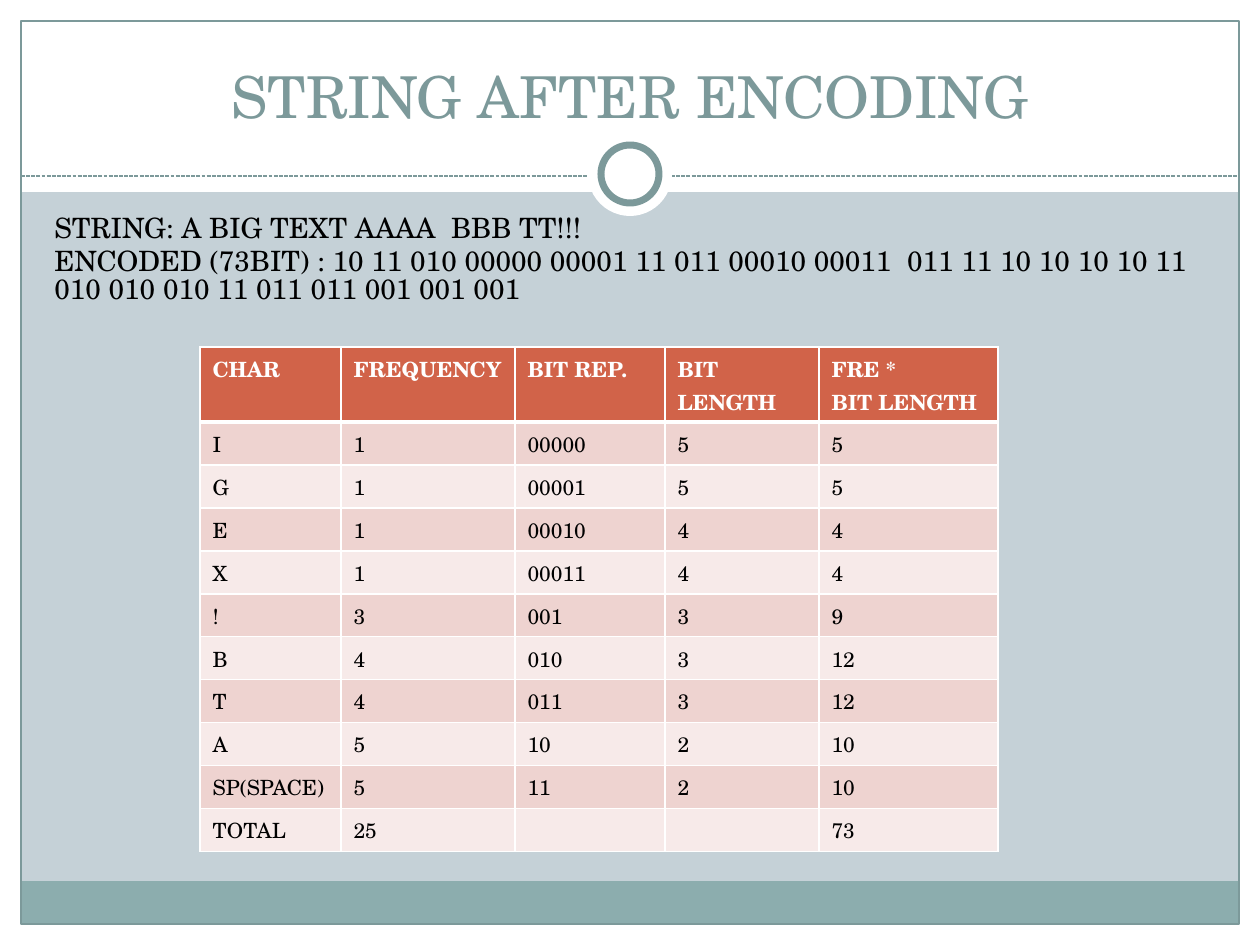
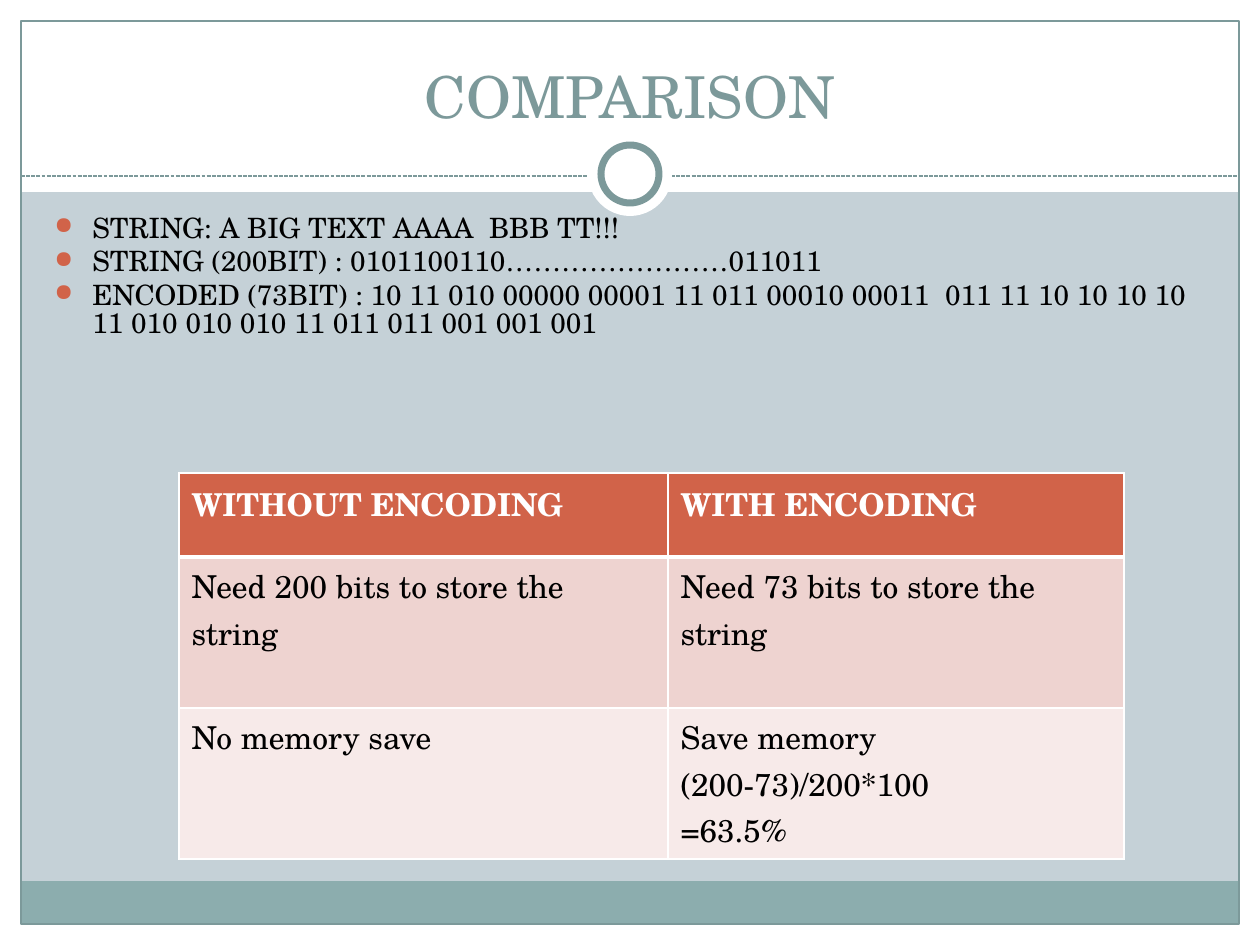
from dataclasses import dataclass

from lxml.etree import SubElement
from pptx import Presentation
from pptx.dml.color import RGBColor
from pptx.enum.dml import MSO_LINE_DASH_STYLE as Dash
from pptx.enum.shapes import MSO_CONNECTOR_TYPE as Connector, MSO_SHAPE as Shape
from pptx.enum.text import MSO_ANCHOR as Anchor, PP_ALIGN as Align
from pptx.oxml.ns import qn
from pptx.util import Emu, Pt

# Content
STRING = "STRING: A BIG TEXT AAAA  BBB TT!!!"
ENCODED = ("ENCODED (73BIT) : 10 11 010 00000 00001 11 011 00010 00011  "
           "011 11 10 10 10 10 11 010 010 010 11 011 011 001 001 001")

PAGES = [
    {
        "title": "STRING AFTER ENCODING",
        "lines": [STRING, ENCODED],
        "bullets": False,
        "table": {
            "at": (200, 347), "size": 12,
            "widths": [141, 174, 150, 154, 179],
            "heights": [75] + [43] * 10,
            "rows": [
                ("CHAR", "FREQUENCY", "BIT REP.", "BIT LENGTH", "FRE *\nBIT LENGTH"),
                ("I", "1", "00000", "5", "5"),
                ("G", "1", "00001", "5", "5"),
                ("E", "1", "00010", "4", "4"),
                ("X", "1", "00011", "4", "4"),
                ("!", "3", "001", "3", "9"),
                ("B", "4", "010", "3", "12"),
                ("T", "4", "011", "3", "12"),
                ("A", "5", "10", "2", "10"),
                ("SP(SPACE)", "5", "11", "2", "10"),
                ("TOTAL", "25", "", "", "73"),
            ],
        },
    },
    {
        "title": "COMPARISON",
        "lines": [STRING, "STRING (200BIT) : 0101100110" + "…" * 8 + "011011", ENCODED],
        "bullets": True,
        "table": {
            "at": (179, 473), "size": 18,
            "widths": [489, 456],
            "heights": [84, 151, 151],
            "rows": [
                ("WITHOUT ENCODING", "WITH ENCODING"),
                ("Need 200 bits to store the string", "Need 73 bits to store the string"),
                ("No memory save", "Save memory\n(200-73)/200*100\n=63.5%"),
            ],
        },
    },
]


@dataclass(frozen=True)
class Theme:
    font: str = "TeX Gyre Schola"
    title_size: int = 33
    body_size: int = 16
    body_spacing: float = 0.83
    background: str = "C5D1D7"
    white: str = "FFFFFF"
    black: str = "000000"
    accent: str = "7C999A"
    footer: str = "8CADAE"
    header: str = "D16349"
    bands: tuple = ("EED3D0", "F7EAE9")


THEME = Theme()
WIDTH, HEIGHT, MARGIN = 1260, 945, 21
INNER = WIDTH - 2 * MARGIN
RULE_Y, RING_Y = 176, 174


def px(pixels):
    return Emu(round(pixels * 914400 / 126))


def color(code):
    return RGBColor.from_string(code)


def style(paragraph, size, code, bold=False):
    for span in paragraph.runs:
        font = span.font
        font.name, font.size, font.bold = THEME.font, Pt(size), bold
        font.color.rgb = color(code)


# Shared frame
def add_shape(page, kind, x, y, w, h, fill=None, line=None, weight=0.75):
    shape = page.shapes.add_shape(kind, px(x), px(y), px(w), px(h))
    shape.shadow.inherit = False
    if fill:
        shape.fill.solid()
        shape.fill.fore_color.rgb = color(fill)
    else:
        shape.fill.background()
    if line:
        shape.line.color.rgb = color(line)
        shape.line.width = Pt(weight)
    else:
        shape.line.fill.background()


def add_circle(page, diameter, **look):
    add_shape(page, Shape.OVAL, (WIDTH - diameter) / 2, RING_Y - diameter / 2,
              diameter, diameter, fill=THEME.white, **look)


def add_frame(page):
    page.background.fill.solid()
    page.background.fill.fore_color.rgb = color(THEME.background)
    for area in [(0, HEIGHT - MARGIN, WIDTH, MARGIN), (0, 0, WIDTH, 192),
                 (0, 0, MARGIN, HEIGHT), (WIDTH - MARGIN, 0, MARGIN, HEIGHT)]:
        add_shape(page, Shape.RECTANGLE, *area, fill=THEME.white)
    add_shape(page, Shape.RECTANGLE, MARGIN, 881, INNER, 43, fill=THEME.footer)
    add_shape(page, Shape.RECTANGLE, MARGIN, MARGIN, INNER, HEIGHT - 2 * MARGIN,
              line=THEME.accent)
    rule = page.shapes.add_connector(Connector.STRAIGHT, px(MARGIN), px(RULE_Y),
                                     px(WIDTH - MARGIN), px(RULE_Y))
    rule.line.color.rgb = color(THEME.accent)
    rule.line.width = Pt(0.75)
    rule.line.dash_style = Dash.SQUARE_DOT
    SubElement(rule.line._get_or_add_ln().getparent(), qn("a:effectLst"))
    add_circle(page, 84)
    add_circle(page, 58, line=THEME.accent, weight=4)


# Title and body text
def add_text(page, x, y, w, h, text):
    box = page.shapes.add_textbox(px(x), px(y), px(w), px(h))
    box.text_frame.word_wrap = True
    box.text_frame.text = text
    return box.text_frame


def add_title(page, text):
    frame = add_text(page, 42, 32, 1176, 104, text)
    frame.vertical_anchor = Anchor.BOTTOM
    frame.paragraphs[0].alignment = Align.CENTER
    style(frame.paragraphs[0], THEME.title_size, THEME.accent)


def add_bullet(paragraph):
    props = paragraph._p.get_or_add_pPr()
    props.set("marL", str(px(38)))
    props.set("indent", str(-px(38)))
    tint = SubElement(props, qn("a:buClr"))
    SubElement(tint, qn("a:srgbClr"), val=THEME.header)
    SubElement(props, qn("a:buSzPct"), val="85000")
    SubElement(props, qn("a:buChar"), char="●")


def add_body(page, lines, bullets):
    frame = add_text(page, 42, 210, 1172, 630, "\n".join(lines))
    for paragraph in frame.paragraphs:
        paragraph.line_spacing = THEME.body_spacing
        paragraph.space_before = Pt(THEME.body_size * 0.2)
        style(paragraph, THEME.body_size, THEME.black)
        if bullets:
            add_bullet(paragraph)


# Tables
def set_borders(cell, **weights):
    props = cell._tc.get_or_add_tcPr()
    for side, weight in weights.items():
        line = SubElement(props, qn("a:ln" + side), w=str(Pt(weight)))
        fill = SubElement(line, qn("a:solidFill"))
        SubElement(fill, qn("a:srgbClr"), val=THEME.white)


def fill_cell(cell, text, row, size):
    is_header = row == 0
    cell.text_frame.text = text
    for paragraph in cell.text_frame.paragraphs:
        style(paragraph, size, THEME.white if is_header else THEME.black, is_header)
        if not paragraph.runs:
            SubElement(paragraph._p, qn("a:endParaRPr"), sz=str(size * 100))
    set_borders(cell, L=1, R=1, T=3 if row == 1 else 1, B=3 if is_header else 1)
    cell.fill.solid()
    cell.fill.fore_color.rgb = color(THEME.header if is_header else THEME.bands[(row - 1) % 2])


def add_grid(page, at, size, widths, heights, rows):
    table = page.shapes.add_table(len(rows), len(widths), px(at[0]), px(at[1]),
                                  px(sum(widths)), px(sum(heights))).table
    for column, width in zip(table.columns, widths):
        column.width = px(width)
    for index, (height, texts) in enumerate(zip(heights, rows)):
        table.rows[index].height = px(height)
        for cell, text in zip(table.rows[index].cells, texts):
            fill_cell(cell, text, index, size)


# Build the deck
deck = Presentation()
deck.slide_width, deck.slide_height = px(WIDTH), px(HEIGHT)
for content in PAGES:
    page = deck.slides.add_slide(deck.slide_layouts[6])
    add_frame(page)
    add_title(page, content["title"])
    add_body(page, content["lines"], content["bullets"])
    add_grid(page, **content["table"])
deck.save("out.pptx")
